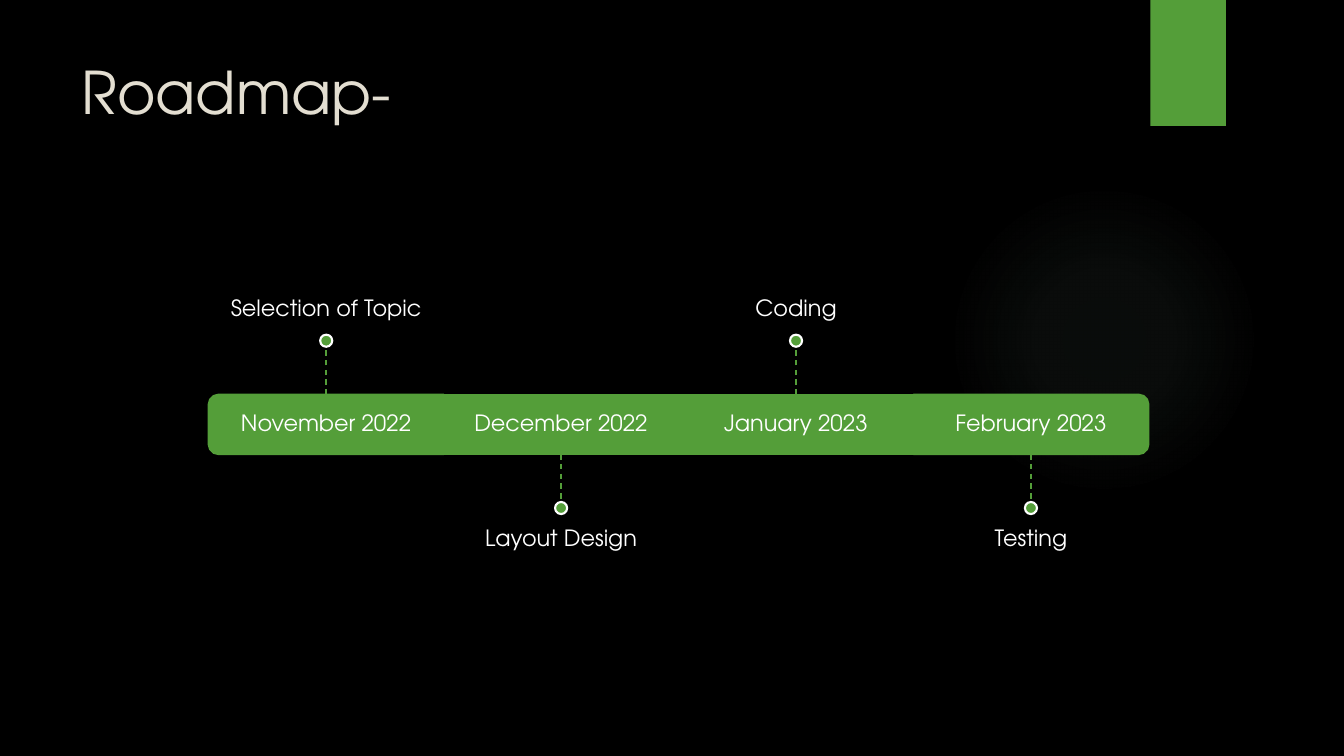
from lxml.etree import SubElement
from pptx import Presentation
from pptx.dml.color import RGBColor
from pptx.enum.dml import MSO_LINE
from pptx.enum.shapes import MSO_CONNECTOR, MSO_SHAPE
from pptx.enum.text import MSO_ANCHOR, PP_ALIGN
from pptx.oxml import parse_xml
from pptx.oxml.ns import nsdecls, qn
from pptx.util import Inches, Pt

BLACK = RGBColor(0x00, 0x00, 0x00)
GREEN = RGBColor(0x54, 0x9E, 0x39)
WHITE = RGBColor(0xFF, 0xFF, 0xFF)
CREAM = RGBColor(0xE3, 0xDE, 0xD1)
SAGE = RGBColor(0x87, 0xA8, 0x96)
FONT = "TeX Gyre Adventor"

WIDE, HIGH = 13.33, 7.5
LEFT, STEP = 2.07, 2.33   # first column and column width
MID, BAR = 4.21, 0.59     # centre and height of the month row
STEM, DOT = 0.77, 0.12
TEXT_W, TEXT_H = STEP * 5 / 3, 2.06
PAD = 0.13

STAGES = [
    ("November 2022", "Selection of Topic"),
    ("December 2022", "Layout Design"),
    ("January 2023", "Coding"),
    ("February 2023", "Testing"),
]


def add_block(slide, kind, x, y, w, h, edge=None):
    block = slide.shapes.add_shape(kind, *map(Inches, (x, y, w, h)))
    block.shadow.inherit = False
    block.fill.solid()
    block.fill.fore_color.rgb = GREEN
    if edge is None:
        block.line.fill.background()
    else:
        block.line.color.rgb = edge
        block.line.width = Pt(1.5)
    return block


def add_text(slide, text, x, y, w, h, size=16, color=WHITE,
             anchor=MSO_ANCHOR.MIDDLE, pads=(PAD, PAD, PAD, PAD)):
    """Add a wrapped text box; pads run left, top, right, bottom."""
    frame = slide.shapes.add_textbox(*map(Inches, (x, y, w, h))).text_frame
    frame.word_wrap = True
    frame.vertical_anchor = anchor
    (frame.margin_left, frame.margin_top,
     frame.margin_right, frame.margin_bottom) = map(Inches, pads)
    para = frame.paragraphs[0]
    para.text = text
    para.font.name = FONT
    para.font.size = Pt(size)
    para.font.color.rgb = color
    return para


def add_label(slide, text, *box, **style):
    para = add_text(slide, text, *box, **style)
    para.alignment = PP_ALIGN.CENTER
    para.line_spacing = 0.9
    para.space_after = Pt(5.6)


def add_stem(slide, x, start, end):
    stem = slide.shapes.add_connector(
        MSO_CONNECTOR.STRAIGHT, *map(Inches, (x, start, x, end)))
    stem.line.color.rgb = GREEN
    stem.line.width = Pt(1)
    stem.line.dash_style = MSO_LINE.DASH
    SubElement(stem._element.spPr, qn("a:effectLst"))


def add_glow(slide, x, y, size):
    glow = add_block(slide, MSO_SHAPE.OVAL, x, y, size, size)
    stops = "".join(
        f'<a:gs pos="{pos}000"><a:srgbClr val="{SAGE}">'
        f'<a:alpha val="{alpha}000"/></a:srgbClr></a:gs>'
        for pos, alpha in ((0, 7), (36, 6), (69, 0)))
    fill = parse_xml(
        f'<a:gradFill {nsdecls("a")}><a:gsLst>{stops}</a:gsLst>'
        '<a:path path="circle"><a:fillToRect l="50000" t="50000" '
        'r="50000" b="50000"/></a:path></a:gradFill>')
    props = glow._element.spPr
    props.replace(props.find(qn("a:solidFill")), fill)


def add_month(slide, col, text):
    x = LEFT + col * STEP
    turn = {0: 270, len(STAGES) - 1: 90}.get(col)
    if turn is None:
        add_block(slide, MSO_SHAPE.RECTANGLE, x, MID - BAR / 2, STEP, BAR, GREEN)
    else:
        end = add_block(slide, MSO_SHAPE.ROUND_2_SAME_RECTANGLE,
                        x + (STEP - BAR) / 2, MID - STEP / 2, BAR, STEP, GREEN)
        end.rotation = turn
    add_label(slide, text, x, MID - BAR / 2, STEP, BAR)


def add_task(slide, col, text):
    """Add a stem, dot and label, above the row in even columns, else below."""
    x = LEFT + (col + 0.5) * STEP
    above = col % 2 == 0
    side = -1 if above else 1
    add_stem(slide, x, MID + side * BAR / 2, MID + side * STEM)
    dot = MID + side * (STEM + DOT / 2)
    add_block(slide, MSO_SHAPE.OVAL, x - DOT / 2, dot - DOT / 2, DOT, DOT, WHITE)
    near = MID + side * (STEM + DOT)
    add_label(slide, text, x - TEXT_W / 2, near - TEXT_H if above else near,
              TEXT_W, TEXT_H,
              anchor=MSO_ANCHOR.BOTTOM if above else MSO_ANCHOR.TOP,
              pads=(0, 0, 0, PAD) if above else (0, PAD, 0, 0))


def main():
    deck = Presentation()
    deck.slide_width, deck.slide_height = Inches(WIDE), Inches(HIGH)
    slide = deck.slides.add_slide(deck.slide_layouts[6])
    slide.background.fill.solid()
    slide.background.fill.fore_color.rgb = BLACK

    add_glow(slide, 9.41, 1.83, 3.08)
    add_block(slide, MSO_SHAPE.RECTANGLE, 11.41, 0, 0.75, HIGH / 6)
    add_text(slide, "Roadmap-", 0.71, 0.5, 10.29, 1.53, size=42, color=CREAM,
             anchor=MSO_ANCHOR.TOP, pads=(0.1, 0.05, 0.1, 0.05))
    for col, (month, task) in enumerate(STAGES):
        add_month(slide, col, month)
        add_task(slide, col, task)
    deck.save("out.pptx")


if __name__ == "__main__":
    main()
